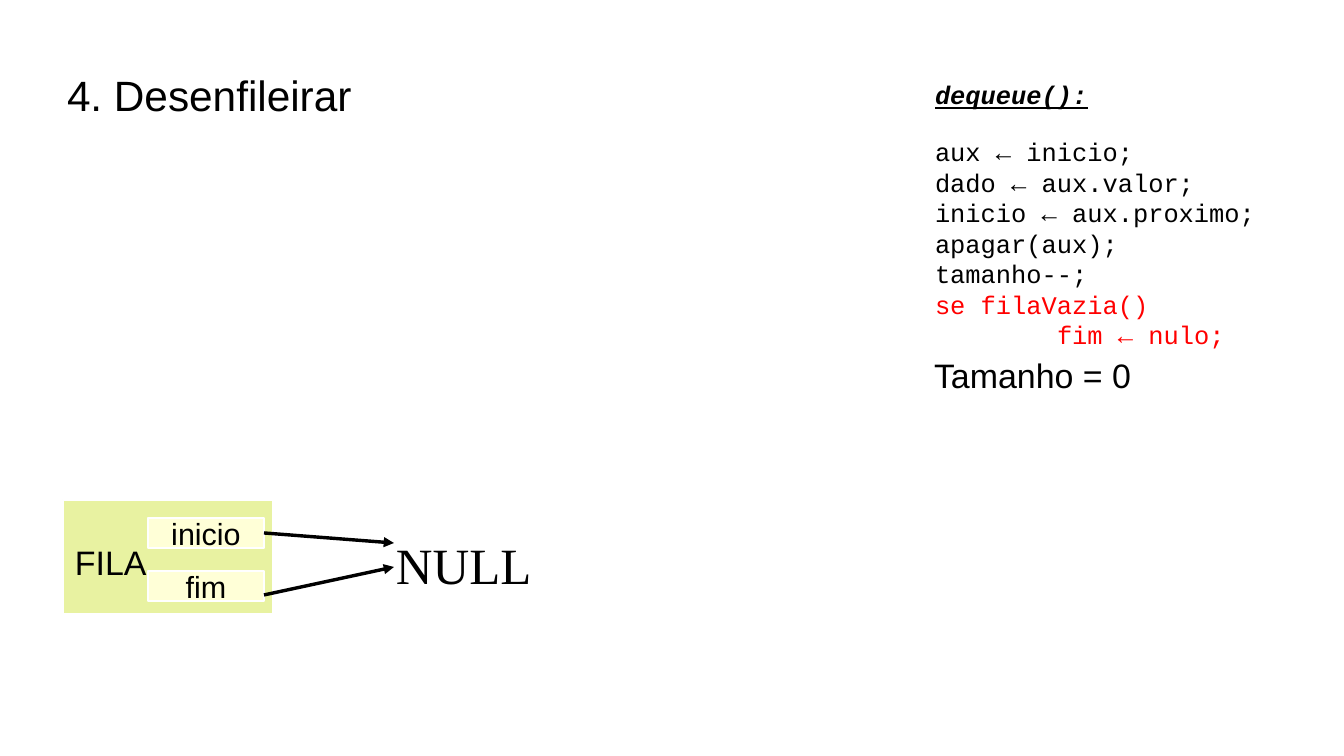
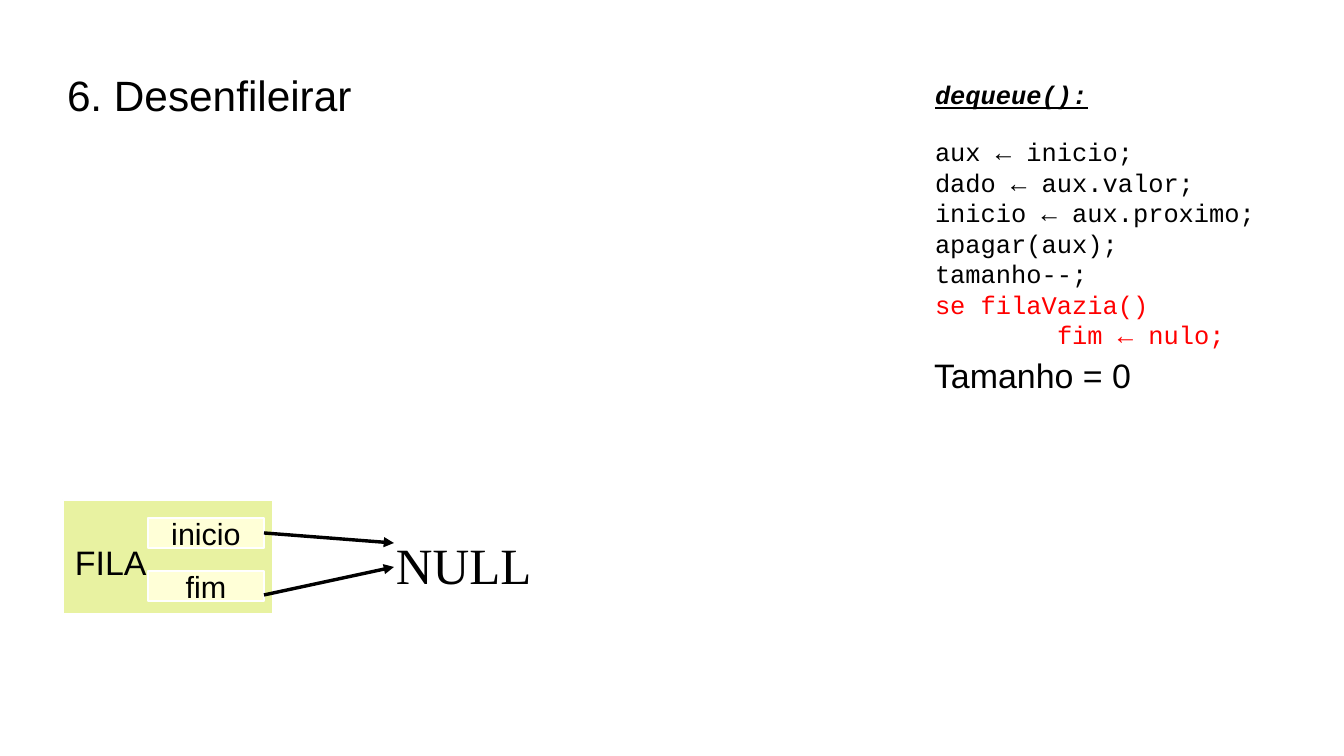
from lxml import etree
from pptx import Presentation
from pptx.dml.color import RGBColor
from pptx.enum.shapes import MSO_CONNECTOR, MSO_SHAPE
from pptx.enum.text import MSO_ANCHOR as ANCHOR, PP_ALIGN as ALIGN
from pptx.oxml.ns import qn
from pptx.util import Emu, Pt

COLORS = {
    "text": "000000",
    "active": "FF0000",
    "queue": "E8F2A1",
    "field": "FFFFD7",
    "edge": "FFFFFF",
}
SANS, MONO, SERIF = "Arial", "Courier New", "Times New Roman"
TAB_STOP = 122
CODE = [
    "aux ← inicio;",
    "dado ← aux.valor;",
    "inicio ← aux.proximo;",
    "apagar(aux);",
    "tamanho--;",
]
ACTIVE_CODE = ["se filaVazia()", "\tfim ← nulo;"]


def px(n):
    """Turn pixels into EMU."""
    return Emu(round(n * 914400 / 122))


def rgb(name):
    """Look up a named colour."""
    return RGBColor.from_string(COLORS[name])


class Deck:
    """Hold the shared style and the current slide."""

    def __init__(self):
        self.prs = Presentation()
        self.prs.slide_width, self.prs.slide_height = px(1344), px(756)
        self.s = None

    def style(self, p, size, font=SANS, color="text"):
        """Format every run of a paragraph."""
        for r in p.runs:
            r.font.name, r.font.size = font, Pt(size)
            r.font.color.rgb = rgb(color)

    def slide(self, title):
        """Start a slide with its title."""
        self.s = self.prs.slides.add_slide(self.prs.slide_layouts[5])
        sp = self.s.shapes.title
        sp.left, sp.top, sp.width, sp.height = map(px, (67, 31, 1210, 127))
        tf = sp.text_frame
        tf.text = title
        tf.margin_left = tf.margin_right = tf.margin_top = tf.margin_bottom = 0
        tf.vertical_anchor = ANCHOR.MIDDLE
        p = tf.paragraphs[0]
        p.alignment = ALIGN.LEFT
        self.style(p, 25)

    def label(self, text, x, y, w, h, size=20, font=SANS):
        """Add a text box and return its frame."""
        tf = self.s.shapes.add_textbox(*map(px, (x, y, w, h))).text_frame
        tf.word_wrap = True
        tf.text = text
        self.style(tf.paragraphs[0], size, font)
        return tf

    def box(self, x, y, w, h, fill, text=""):
        """Add a filled rectangle with an optional centred label."""
        sp = self.s.shapes.add_shape(MSO_SHAPE.RECTANGLE, *map(px, (x, y, w, h)))
        sp.shadow.inherit = False
        sp.fill.solid()
        sp.fill.fore_color.rgb = rgb(fill)
        sp.line.color.rgb = rgb("edge")
        sp.line.width = 0
        if text:
            tf = sp.text_frame
            tf.word_wrap = False
            tf.vertical_anchor = ANCHOR.MIDDLE
            tf.text = text
            p = tf.paragraphs[0]
            p.alignment = ALIGN.CENTER
            self.style(p, 18)

    def arrow(self, x1, y1, x2, y2):
        """Add a hairline arrow."""
        line = self.s.shapes.add_connector(
            MSO_CONNECTOR.STRAIGHT, *map(px, (x1, y1, x2, y2)))
        line.line.color.rgb = rgb("text")
        line.line.width = 0
        etree.SubElement(line.line._get_or_add_ln(), qn("a:tailEnd"), type="triangle")
        etree.SubElement(line._element.spPr, qn("a:effectLst"))

    def code(self, heading, lines, active, x, y, w, h):
        """Add a code listing whose last lines are highlighted."""
        tf = self.label(heading, x, y, w, h, 15, MONO)
        p = tf.paragraphs[0]
        p.space_after = Pt(16)
        font = p.runs[0].font
        font.bold = font.italic = font.underline = True
        for color, group in (("text", lines), ("active", active)):
            for text in group:
                p = tf.add_paragraph()
                if text.startswith("\t"):
                    tabs = etree.SubElement(p._p.get_or_add_pPr(), qn("a:tabLst"))
                    etree.SubElement(tabs, qn("a:tab"), pos=str(px(TAB_STOP)), algn="l")
                p.text = text
                self.style(p, 15, MONO, color)

    def queue(self):
        """Draw the empty queue with both pointers at NULL."""
        self.box(63, 500, 210, 114, "queue")
        for y, name in ((518, "inicio"), (571, "fim")):
            self.box(148, y, 116, 30, "field", name)
        self.label("FILA", 63, 536, 100, 50)
        self.label("NULL", 384, 528, 164, 64, 30, SERIF)
        self.arrow(264, 533, 394, 543)
        self.arrow(264, 595, 394, 567)


def main():
    """Build and save the deck."""
    deck = Deck()
    for number in (4, 6):
        deck.slide(f"{number}. Desenfileirar")
        deck.queue()
        deck.label("Tamanho = 0", 922, 349, 231, 50)
        deck.code("dequeue():", CODE, ACTIVE_CODE, 923, 73, 421, 283)
    deck.prs.save("out.pptx")


if __name__ == "__main__":
    main()
